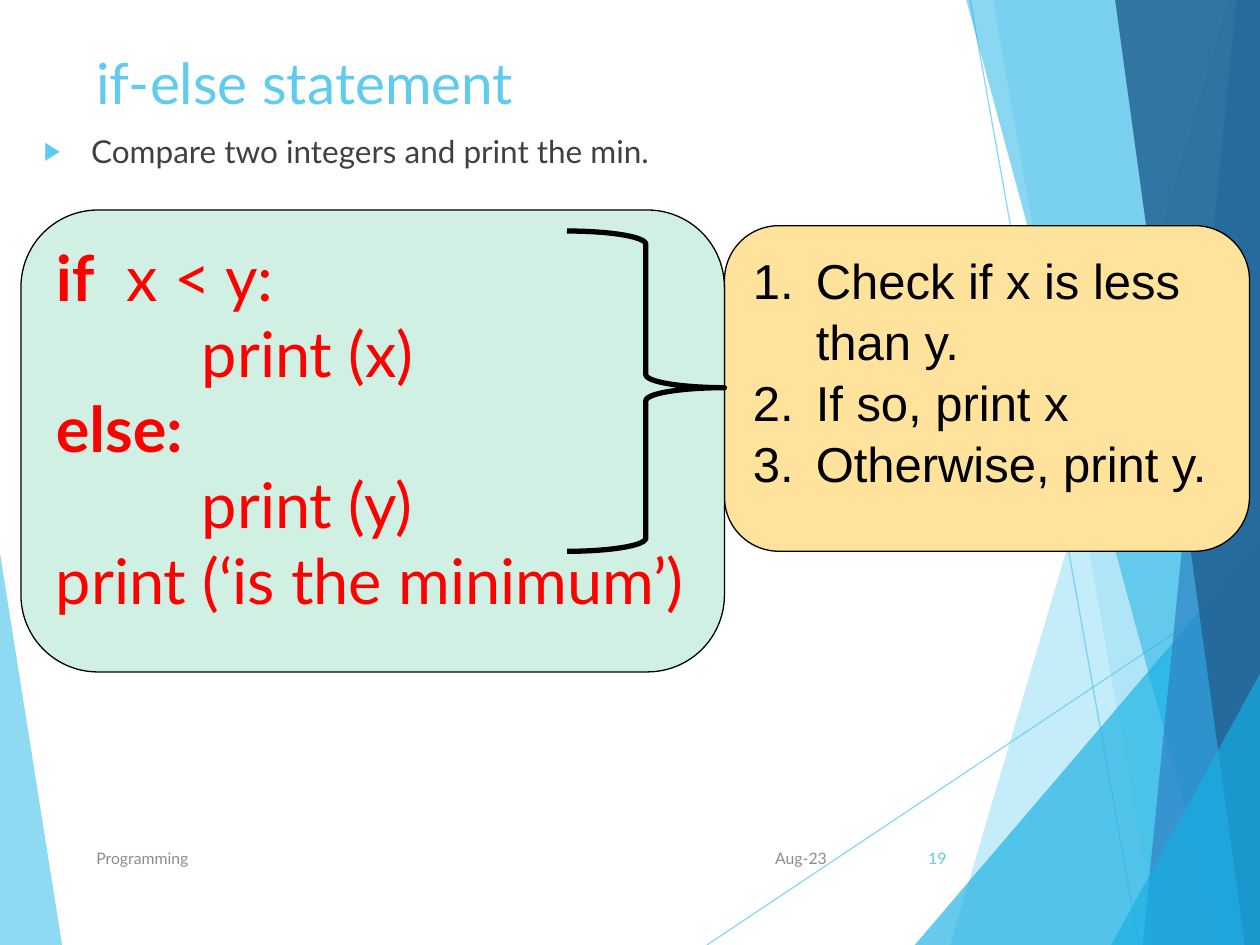
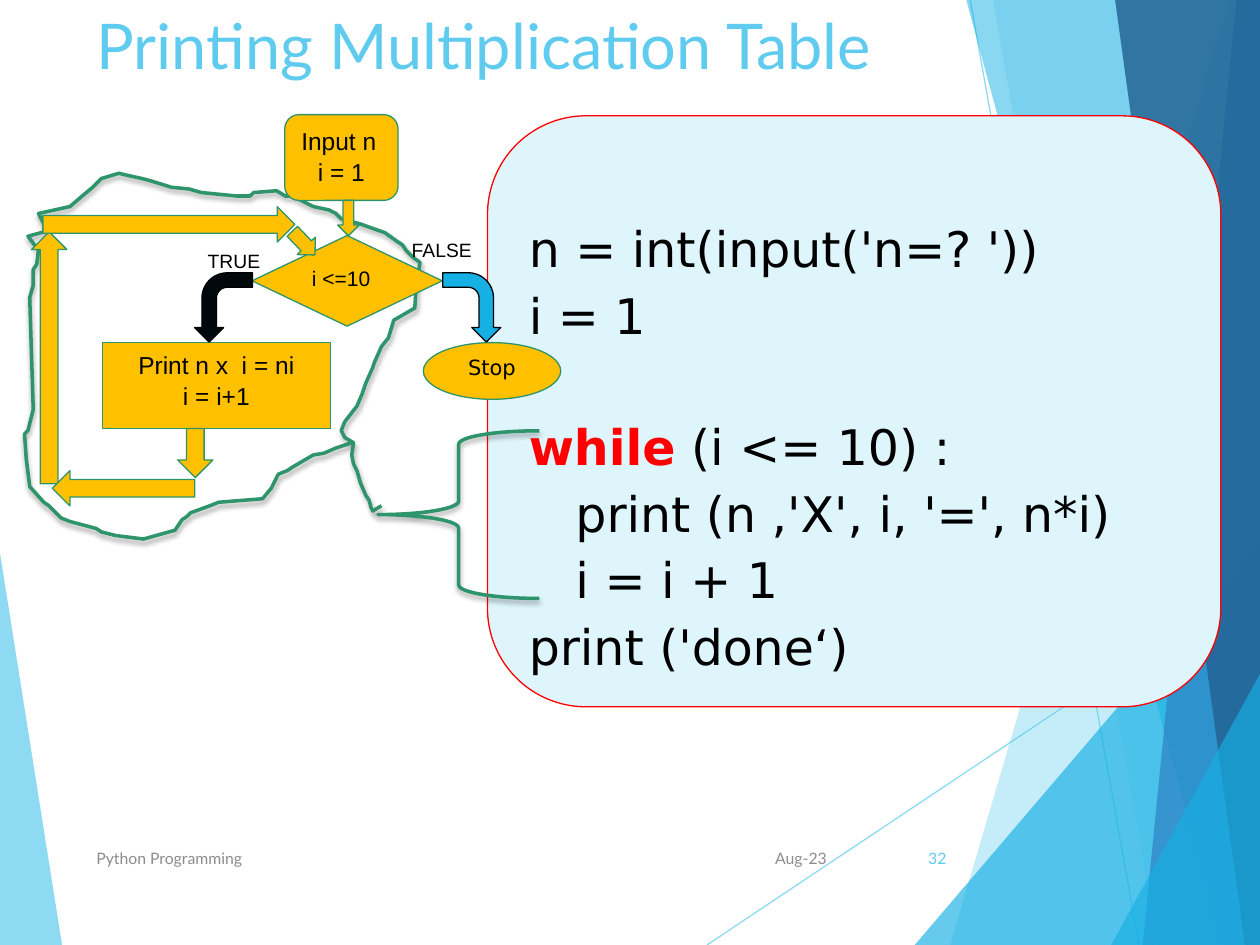
from dataclasses import dataclass
from typing import NamedTuple

import pptx
import pptx.dml.color
import pptx.enum.shapes
import pptx.enum.text
import pptx.oxml.ns
import pptx.util
from lxml import etree

Pt = pptx.util.Pt
qn = pptx.oxml.ns.qn
Shapes = pptx.enum.shapes.MSO_SHAPE
Align = pptx.enum.text.PP_ALIGN
Anchor = pptx.enum.text.MSO_ANCHOR


@dataclass(frozen=True)
class Theme:
    sky: str = "5FCBEF"
    azure: str = "17B0E4"
    blue: str = "2E83C3"
    navy: str = "226292"
    body: str = "404040"
    muted: str = "8C8C8C"
    black: str = "000000"
    ink: str = "00080C"
    white: str = "FFFFFF"
    red: str = "FF0000"
    mint: str = "CFF0E3"
    cream: str = "FFE39D"
    ice: str = "DFF5FC"
    amber: str = "FFC000"
    green: str = "2E946B"
    main_font: str = "Lato"
    flow_font: str = "Arial"
    code_font: str = "DejaVu Sans"
    code_size: float = 36
    callout_size: float = 28
    bullet_size: float = 18
    step_size: float = 14
    small_size: float = 12
    branch_size: float = 11
    footer_size: float = 9
    hairline: float = 0.75


THEME = Theme()


class Box(NamedTuple):
    left: float
    top: float
    width: float
    height: float


class Run(NamedTuple):
    text: str
    color: str | None = None
    bold: bool = False


class Line(NamedTuple):
    runs: tuple[Run, ...]
    indent: float = 0
    hanging: float = 0
    before: float = 0
    bullet: str = ""
    align: Align | None = None


class Facet(NamedTuple):
    points: tuple[tuple[float, float], ...]
    color: str
    opacity: int


class Step(NamedTuple):
    kind: Shapes
    box: Box
    rotation: float = 0
    lines: tuple[Line, ...] = ()
    fill: str = THEME.amber
    edge: str = THEME.green
    font: str = THEME.flow_font
    size: float = THEME.step_size
    adjust: tuple[float, ...] = ()
    mirrored: bool = False
    wrap: bool = True
    spacing: float = 1.04


def plain(text: str, **layout) -> Line:
    return Line((Run(text),), **layout)


def rgb(code: str):
    return pptx.dml.color.RGBColor.from_string(code)


def sub(parent, tag: str, **attributes):
    return etree.SubElement(parent, qn(tag), {k: str(v) for k, v in attributes.items()})


def set_opacity(fill_parent, percent: int) -> None:
    color = next(fill_parent.iter(qn("a:srgbClr")))
    sub(color, "a:alpha", val=percent * 1000)


def paint(shape, fill: str | None, edge: str | None, width: float = THEME.hairline) -> None:
    shape.shadow.inherit = False
    if fill:
        shape.fill.solid()
        shape.fill.fore_color.rgb = rgb(fill)
    else:
        shape.fill.background()
    if edge:
        shape.line.color.rgb = rgb(edge)
        shape.line.width = Pt(width)
    else:
        shape.line.fill.background()


def add_bullet(properties, bullet: str) -> None:
    if bullet == "1.":
        sub(properties, "a:buFont", typeface=THEME.flow_font)
        sub(properties, "a:buAutoNum", type="arabicPeriod")
    else:
        sub(sub(properties, "a:buClr"), "a:srgbClr", val=THEME.sky)
        sub(properties, "a:buSzPct", val=80000)
        sub(properties, "a:buFont", typeface=THEME.flow_font)
        sub(properties, "a:buChar", char=bullet)


def write(shape, lines: tuple[Line, ...], *, size: float, font: str = THEME.main_font,
          color: str = THEME.black, align: Align = Align.LEFT, anchor: Anchor = Anchor.TOP,
          spacing: float = 1, wrap: bool = True, inset_top: float = 3.6) -> None:
    frame = shape.text_frame
    frame.word_wrap = wrap
    frame.vertical_anchor = anchor
    frame.margin_top = Pt(inset_top)
    for number, line in enumerate(lines):
        paragraph = frame.add_paragraph() if number else frame.paragraphs[0]
        paragraph.alignment = line.align or align
        paragraph.line_spacing = spacing
        paragraph.space_before = Pt(line.before)
        properties = paragraph._p.get_or_add_pPr()
        properties.set("marL", str(Pt(line.indent)))
        properties.set("indent", str(Pt(-line.hanging)))
        if line.bullet:
            add_bullet(properties, line.bullet)
        for part in line.runs:
            run = paragraph.add_run()
            run.text = part.text
            run.font.name = font
            run.font.size = Pt(size)
            run.font.bold = part.bold
            run.font.color.rgb = rgb(part.color or color)


def add_label(slide, box: Box, *lines: Line, **style) -> None:
    write(slide.shapes.add_textbox(*map(Pt, box)), lines, **style)


def add_panel(slide, kind: Shapes, box: Box, fill: str | None, edge: str,
              width: float = THEME.hairline, adjust: tuple[float, ...] = ()):
    shape = slide.shapes.add_shape(kind, *map(Pt, box))
    for index, value in enumerate(adjust):
        shape.adjustments[index] = value
    paint(shape, fill, edge, width)
    return shape


def add_outline(slide, points, closed: bool):
    corners = [(Pt(x), Pt(y)) for x, y in points]
    builder = slide.shapes.build_freeform(*corners[0])
    builder.add_line_segments(corners[1:], close=closed)
    return builder.convert_to_shape()


def add_soft_shadow(shape) -> None:
    effects = shape._element.spPr.find(qn("a:effectLst"))
    shadow = sub(effects, "a:outerShdw", blurRad=Pt(3), dist=Pt(2), dir=5400000, rotWithShape=0)
    sub(shadow, "a:srgbClr", val=THEME.black)
    set_opacity(shadow, 35)


# Shared backdrop, title and footer
W, H = 720, 540
RAYS = (((404, H), (W, 329)), ((554.4, 0), (650.9, H)))


def right_facet(top: float, bottom: float, color: str, opacity: int) -> Facet:
    return Facet(((top, 0), (bottom, H), (W, H), (W, 0)), color, opacity)


def corner_facet(start: float, rise: float) -> Facet:
    return Facet(((start, H), (W, rise), (W, H)), THEME.azure, 66)


LEFT_FACET = Facet(((0, 316), (35.5, H), (0, H)), THEME.sky, 70)
RIGHT_FACETS = (
    right_facet(702, 543, THEME.sky, 36),
    right_facet(567.5, 661.7, THEME.sky, 20),
    corner_facet(522.7, 309),
    right_facet(552.2, 698.4, THEME.azure, 50),
    right_facet(706.5, 653, THEME.blue, 70),
    right_facet(637.2, 711.4, THEME.navy, 82),
    corner_facet(635, 385),
)


def add_facet(slide, facet: Facet) -> None:
    shape = add_outline(slide, facet.points, closed=True)
    paint(shape, facet.color, None)
    set_opacity(shape._element.spPr, facet.opacity)


def add_base(deck, title: str, title_box: Box, title_size: float, course: str, page: str):
    slide = deck.slides.add_slide(deck.slide_layouts[6])
    add_facet(slide, LEFT_FACET)
    for start, end in RAYS:
        ray = slide.shapes.add_connector(
            pptx.enum.shapes.MSO_CONNECTOR.STRAIGHT, *map(Pt, start + end))
        ray.line.color.rgb = rgb(THEME.sky)
        ray.line.width = Pt(THEME.hairline)
        set_opacity(ray._element.spPr, 70)
        sub(ray._element.spPr, "a:effectLst")
    for facet in RIGHT_FACETS:
        add_facet(slide, facet)
    add_label(slide, title_box, plain(title), size=title_size, color=THEME.sky)
    for text, left, width, align, color in (
            ("Aug-23", 425.5, 54, Align.RIGHT, THEME.muted),
            (course, 48, 364.3, Align.LEFT, THEME.muted),
            (page, 507.6, 40.3, Align.RIGHT, THEME.sky)):
        add_label(slide, Box(left, 475.9, width, 28.8), plain(text), size=THEME.footer_size,
                  color=color, align=align, anchor=Anchor.MIDDLE)
    return slide


# Slide: if-else statement
def build_if_else(deck) -> None:
    slide = add_base(deck, "if-else statement", Box(48, 24, 612, 42), 32.4, "Programming", "19")
    add_label(slide, Box(18, 72, 696, 90),
              plain("Compare two integers and print the min.", indent=27, hanging=27, bullet="▶"),
              size=THEME.bullet_size, color=THEME.body)

    explanation = add_panel(slide, Shapes.ROUNDED_RECTANGLE, Box(414, 129, 300, 186),
                            THEME.cream, THEME.black)
    steps = ("Check if x is less than y.", "If so, print x", "Otherwise, print y.")
    write(explanation, tuple(plain(s, indent=36, hanging=36, bullet="1.") for s in steps),
          size=THEME.callout_size, font=THEME.flow_font, spacing=1.04)

    code = add_panel(slide, Shapes.ROUNDED_RECTANGLE, Box(12, 120, 402, 264),
                     THEME.mint, THEME.black)
    write(code, (
        Line((Run("if", bold=True), Run("  x < y:"))),
        plain("print (x)", indent=83.4),
        Line((Run("else:", bold=True),)),
        plain("print (y)", indent=83.4),
        plain("print (‘is the minimum’)"),
    ), size=THEME.code_size, color=THEME.red)

    brace = add_panel(slide, Shapes.LEFT_BRACE, Box(324, 132, 90, 183), THEME.mint,
                      THEME.black, 3, (0.083, 0.511))
    brace.rotation = 180


# Slide: multiplication table
LOOP_OUTLINE = (
    (218, 289), (213, 292), (212, 290), (211, 286), (209, 283), (206, 276), (204, 269),
    (202, 265), (201, 260), (202, 253), (197, 250), (195, 246), (197, 241), (204, 232),
    (207, 225), (209, 219), (213, 210), (214, 207), (218, 198), (222, 193), (225, 183),
    (237, 176), (238, 162), (240, 150), (236, 147), (232, 143), (230, 140), (227, 138),
    (220, 133), (206, 128), (195, 125), (192, 122), (188, 120), (179, 118), (171, 114),
    (167, 112), (163, 112), (158, 109), (145, 110), (143, 112), (135, 112), (115, 110),
    (108, 108), (98, 107), (85, 103), (81, 102), (72, 100), (68, 99), (58, 102), (53, 107),
    (47, 112), (40, 118), (22, 122), (27, 132), (16, 135), (22, 143), (21, 151), (19, 154),
    (19, 163), (17, 170), (19, 234), (16, 246), (14, 248), (15, 262), (17, 278), (25, 287),
    (28, 289), (35, 296), (40, 298), (55, 302), (58, 304), (66, 306), (82, 308), (100, 303),
    (104, 297), (107, 295), (109, 293), (120, 289), (125, 287), (150, 285), (155, 279),
    (159, 271), (164, 269), (167, 267), (179, 260), (185, 259), (192, 256), (195, 255),
    (201, 253),
)
FLOW = (
    Step(Shapes.RECTANGLE, Box(58.5, 195.8, 130.3, 49), lines=(
        plain("Print n x  i = ni", align=Align.CENTER), plain("i = i+1", align=Align.CENTER))),
    Step(Shapes.ROUNDED_RECTANGLE, Box(162.7, 65.5, 64.8, 49), lines=(
        plain("Input n"), plain("i = 1", align=Align.CENTER))),
    Step(Shapes.DOWN_ARROW, Box(193, 114.5, 12.2, 20.2)),
    Step(Shapes.RECTANGLE, Box(111.6, 138.2, 44.6, 20.9), lines=(plain("TRUE"),),
         fill=THEME.white, edge=THEME.white, size=THEME.branch_size, wrap=False),
    Step(Shapes.FLOWCHART_DECISION, Box(144, 134.6, 108.7, 51.8), lines=(plain("i <=10"),),
         size=THEME.small_size),
    Step(Shapes.UP_ARROW, Box(18, 132.5, 20.2, 144)),
    Step(Shapes.UP_ARROW, Box(101.5, 244.8, 20.2, 28.1), 180),
    Step(Shapes.UP_ARROW, Box(166.3, 129.6, 14.4, 18.7), 136.1, adjust=(0.573, 0.5)),
    Step(Shapes.UP_ARROW, Box(60.5, 238.3, 20.2, 81.4), 270),
    Step(Shapes.UP_ARROW, Box(86.4, 56.2, 20.2, 144), 90),
    Step(Shapes.OVAL, Box(241.9, 195.8, 78.5, 32.4), lines=(plain("Stop", align=Align.CENTER),),
         font=THEME.code_font, size=THEME.small_size, spacing=0.9),
    Step(Shapes.BENT_ARROW, Box(108, 159.1, 39.6, 33.1), 90, fill=THEME.ink,
         edge=THEME.black, mirrored=True),
    Step(Shapes.BENT_ARROW, Box(249.8, 159.1, 39.6, 33.1), 90, fill=THEME.azure,
         edge=THEME.black),
)


def add_step(slide, step: Step) -> None:
    shape = add_panel(slide, step.kind, step.box, step.fill, step.edge, adjust=step.adjust)
    shape.rotation = step.rotation
    if step.mirrored:
        shape._element.spPr.xfrm.set("flipV", "1")
    if step.lines:
        write(shape, step.lines, size=step.size, font=step.font, wrap=step.wrap,
              spacing=step.spacing)


def build_multiplication(deck) -> None:
    slide = add_base(deck, "Printing Multiplication Table", Box(48, 0, 648, 66), 36,
                     "Python Programming", "32")
    code = add_panel(slide, Shapes.ROUNDED_RECTANGLE, Box(278.6, 66.2, 419, 337.7),
                     THEME.ice, THEME.red)
    gap, pitch = 7.8, 37.1
    write(code, (
        plain("n = int(input('n=? '))"),
        plain("i = 1", before=gap),
        Line((Run("while", THEME.red, True), Run(" (i <= 10) :")), before=gap + pitch),
        plain("print (n ,'X', i, '=', n*i)", indent=26.7, before=gap),
        plain("i = i + 1", indent=26.7, before=gap),
        plain("print ('done‘)", before=gap),
    ), size=THEME.callout_size, font=THEME.code_font, spacing=0.9, inset_top=46)

    loop = add_outline(slide, LOOP_OUTLINE, closed=False)
    paint(loop, None, THEME.green, 2)
    add_soft_shadow(loop)

    for step in FLOW:
        add_step(slide, step)
    add_label(slide, Box(228.2, 131.8, 49.7, 20.9), plain("FALSE"), size=THEME.branch_size,
              font=THEME.flow_font, spacing=1.04, wrap=False)
    brace = add_panel(slide, Shapes.LEFT_BRACE, Box(216, 246.2, 92.2, 95.8), None, THEME.green, 2)
    add_soft_shadow(brace)


def main() -> None:
    deck = pptx.Presentation()
    deck.slide_width, deck.slide_height = Pt(W), Pt(H)
    build_if_else(deck)
    build_multiplication(deck)
    deck.save("out.pptx")


if __name__ == "__main__":
    main()
